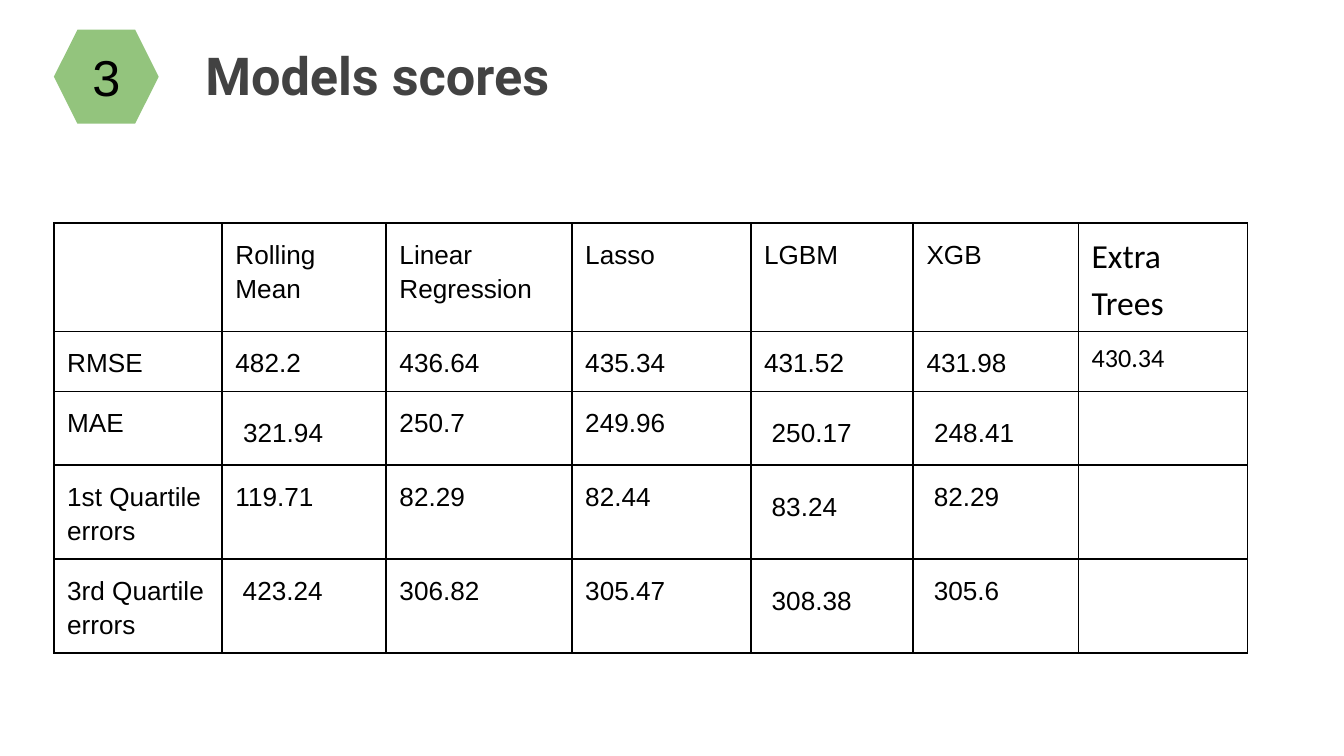
from lxml import etree
from pptx import Presentation
from pptx.dml.color import RGBColor
from pptx.enum.shapes import MSO_SHAPE
from pptx.enum.text import MSO_ANCHOR, PP_ALIGN
from pptx.oxml.ns import qn
from pptx.util import Cm, Pt

HEXAGON = MSO_SHAPE.HEXAGON
TOP, MIDDLE = MSO_ANCHOR.TOP, MSO_ANCHOR.MIDDLE
LEFT, CENTER = PP_ALIGN.LEFT, PP_ALIGN.CENTER

BLACK = RGBColor(0x00, 0x00, 0x00)
GRAY = RGBColor(0x42, 0x42, 0x42)
GREEN = RGBColor(0x93, 0xC4, 0x7D)

INSET = Cm(0.25)
SLIM_INSET = Cm(0.13)
COLUMN_WIDTHS = (3.18, 3.10, 3.51, 3.38, 3.07, 3.12, 3.20)
ROW_HEIGHTS = (1.88, 1.14, 1.30, 1.73, 1.73)
SCORES = (
    ("", "Rolling Mean", "Linear Regression", "Lasso", "LGBM", "XGB", "Extra Trees"),
    ("RMSE", "482.2", "436.64", "435.34", "431.52", "431.98", "430.34"),
    ("MAE", " 321.94", "250.7", "249.96", " 250.17", " 248.41", ""),
    ("1st Quartile errors", "119.71", "82.29", "82.44", " 83.24", " 82.29", ""),
    ("3rd Quartile errors", " 423.24", "306.82", "305.47", " 308.38", " 305.6", ""),
)
# Values whose leading space is set larger than the number
LARGE_SPACE = {" 321.94", " 250.17", " 248.41", " 83.24", " 308.38"}


def add_run(paragraph, text, size, font="Arial", color=BLACK, bold=False):
    run = paragraph.add_run()
    run.text = text
    run.font.size = Pt(size)
    run.font.name = font
    run.font.color.rgb = color
    run.font.bold = bold


def set_insets(box, side, vertical):
    box.margin_left = box.margin_right = side
    box.margin_top = box.margin_bottom = vertical


def add_borders(cell):
    properties = cell._tc.get_or_add_tcPr()
    for position, edge in enumerate(("lnL", "lnR", "lnT", "lnB")):
        line = etree.Element(qn(f"a:{edge}"), w=str(Pt(1)))
        fill = etree.SubElement(line, qn("a:solidFill"))
        etree.SubElement(fill, qn("a:srgbClr"), val=str(BLACK))
        properties.insert(position, line)


def place_title(slide, left, top, width, height):
    title = slide.shapes.title
    title.left, title.top, title.width, title.height = left, top, width, height
    frame = title.text_frame
    frame.word_wrap = True
    frame.vertical_anchor = TOP
    set_insets(frame, INSET, INSET)
    heading = frame.paragraphs[0]
    heading.alignment = LEFT
    heading.line_spacing = 1.0
    add_run(heading, "Models scores", 28, "Roboto", GRAY, bold=True)


def fill_cell(cell, text, is_extra_trees, is_header):
    cell.fill.background()
    add_borders(cell)
    cell.vertical_anchor = TOP
    set_insets(cell, INSET, SLIM_INSET if is_extra_trees else INSET)
    if not text:
        return
    score = cell.text_frame.paragraphs[0]
    score.line_spacing = 1.15
    if text in LARGE_SPACE:
        add_run(score, " ", 18, "Calibri")
        text = text.lstrip()
    add_run(score, text, 18 if is_extra_trees and is_header else 14,
            "Calibri" if is_extra_trees else "Arial")


def add_score_table(slide, left, top, width, height):
    table = slide.shapes.add_table(
        len(SCORES), len(SCORES[0]), left, top, width, height).table
    table.first_row = table.horz_banding = False
    for column, column_width in zip(table.columns, COLUMN_WIDTHS):
        column.width = Cm(column_width)
    for row, row_height in zip(table.rows, ROW_HEIGHTS):
        row.height = Cm(row_height)
    last_column = len(COLUMN_WIDTHS) - 1
    for r, values in enumerate(SCORES):
        for c, value in enumerate(values):
            fill_cell(table.cell(r, c), value, c == last_column and value != "", r == 0)


def add_section_number(slide, left, top, width, height):
    badge = slide.shapes.add_shape(HEXAGON, left, top, width, height)
    badge.shadow.inherit = False
    badge.fill.solid()
    badge.fill.fore_color.rgb = GREEN
    badge.line.fill.background()
    frame = badge.text_frame
    frame.word_wrap = True
    frame.vertical_anchor = MIDDLE
    set_insets(frame, INSET, INSET)
    number = frame.paragraphs[0]
    number.alignment = CENTER
    add_run(number, "3", 27)


def main():
    presentation = Presentation()
    presentation.slide_width = Cm(25.4)
    presentation.slide_height = Cm(14.29)
    title_only = presentation.slide_layouts[5]
    slide = presentation.slides.add_slide(title_only)

    # Heading, scores and section number
    place_title(slide, Cm(3.63), Cm(0.56), Cm(19.53), Cm(2.77))
    add_score_table(slide, Cm(1.02), Cm(4.22), Cm(sum(COLUMN_WIDTHS)), Cm(sum(ROW_HEIGHTS)))
    add_section_number(slide, Cm(1.02), Cm(0.56), Cm(1.98), Cm(1.78))

    presentation.save("out.pptx")


if __name__ == "__main__":
    main()
